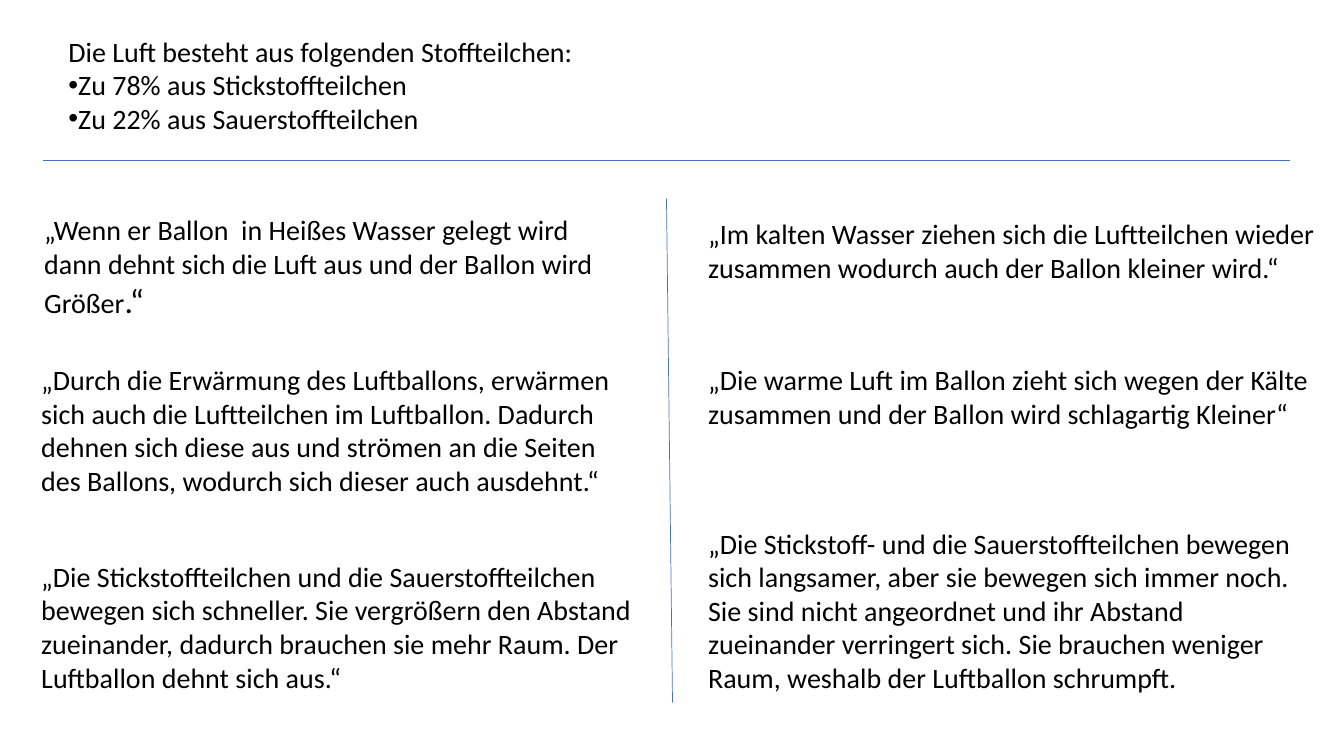
from dataclasses import dataclass

from lxml import etree
from pptx import Presentation
from pptx.dml.color import RGBColor
from pptx.enum.text import MSO_AUTO_SIZE
from pptx.enum.shapes import MSO_CONNECTOR
from pptx.oxml.ns import qn
from pptx.util import Inches, Pt

STRAIGHT = MSO_CONNECTOR.STRAIGHT
FIT_SHAPE = MSO_AUTO_SIZE.SHAPE_TO_FIT_TEXT
WIDTH, HEIGHT = Inches(13.33), Inches(7.5)


@dataclass(frozen=True)
class Theme:
    font: str = "Calibri"
    ink: RGBColor = RGBColor(0, 0, 0)
    rule: RGBColor = RGBColor(0x44, 0x72, 0xC4)
    body: Pt = Pt(20)
    closing: Pt = Pt(24)
    rule_width: Pt = Pt(0.5)


THEME = Theme()
WARM, COLD = 2.33, 51.95

INTRO = "Die Luft besteht aus folgenden Stoffteilchen:"
SHARES = ["Zu 78% aus Stickstoffteilchen", "Zu 22% aus Sauerstoffteilchen"]

QUOTES = [
    (WARM, 47.33, 45.31, 19.33,
     "„Durch die Erwärmung des Luftballons, erwärmen sich auch die "
     "Luftteilchen im Luftballon. Dadurch dehnen sich diese aus und strömen "
     "an die Seiten des Ballons, wodurch sich dieser auch ausdehnt.“"),
    (WARM, 73.33, 46.81, 19.33,
     "„Die Stickstoffteilchen und die Sauerstoffteilchen bewegen sich "
     "schneller. Sie vergrößern den Abstand zueinander, dadurch brauchen sie "
     "mehr Raum. Der Luftballon dehnt sich aus.“"),
    (COLD, 28, 50.04, 10.27,
     "„Im kalten Wasser ziehen sich die Luftteilchen wieder zusammen "
     "wodurch auch der Ballon kleiner wird.“"),
    (COLD, 47.33, 50.04, 10.27,
     "„Die warme Luft im Ballon zieht sich wegen der Kälte zusammen und der "
     "Ballon wird schlagartig Kleiner“"),
    (COLD, 68.93, 45.31, 23.73,
     "„Die Stickstoff- und die Sauerstoffteilchen bewegen sich langsamer, "
     "aber sie bewegen sich immer noch. Sie sind nicht angeordnet und ihr "
     "Abstand zueinander verringert sich. Sie brauchen weniger Raum, weshalb "
     "der Luftballon schrumpft."),
]


def across(percent):
    return round(WIDTH * percent / 100)


def down(percent):
    return round(HEIGHT * percent / 100)


def style(font, size=THEME.body):
    font.name = THEME.font
    font.size = size
    font.color.rgb = THEME.ink


def add_passage(slide, left, top, width, height, text):
    passage = slide.shapes.add_textbox(
        across(left), down(top), across(width), down(height)).text_frame
    passage.word_wrap = True
    passage.auto_size = FIT_SHAPE
    opening = passage.paragraphs[0]
    opening.text = text
    style(opening.font)
    return passage


def add_bullet(passage, text):
    item = passage.add_paragraph()
    item.text = text
    properties = item._p.get_or_add_pPr()
    etree.SubElement(properties, qn("a:buFont"), typeface="Arial")
    etree.SubElement(properties, qn("a:buChar"), char="•")
    style(item.font)


def add_rule(slide, start_x, start_y, end_x, end_y):
    rule = slide.shapes.add_connector(
        STRAIGHT, across(start_x), down(start_y), across(end_x), down(end_y))
    rule.line.color.rgb = THEME.rule
    rule.line.width = THEME.rule_width
    etree.SubElement(rule._element.spPr, qn("a:effectLst"))


def add_hot_water_quote(slide):
    passage = add_passage(
        slide, 2.55, 27.47, 44.26, 15.73,
        "„Wenn er Ballon  in Heißes Wasser gelegt wird dann dehnt sich die "
        "Luft aus und der Ballon wird Größer")
    closing = passage.paragraphs[0].add_run()
    closing.text = ".“"
    style(closing.font, THEME.closing)


def main():
    presentation = Presentation()
    presentation.slide_width, presentation.slide_height = WIDTH, HEIGHT
    slide = presentation.slides.add_slide(presentation.slide_layouts[6])

    composition = add_passage(slide, 4.35, 3.87, 56.11, 14.8, INTRO)
    for share in SHARES:
        add_bullet(composition, share)

    add_hot_water_quote(slide)
    for quote in QUOTES:
        add_passage(slide, *quote)

    add_rule(slide, 49.59, 26.27, 50.04, 92.93)
    add_rule(slide, 3.23, 21.2, 96.02, 21.2)
    presentation.save("out.pptx")


if __name__ == "__main__":
    main()
